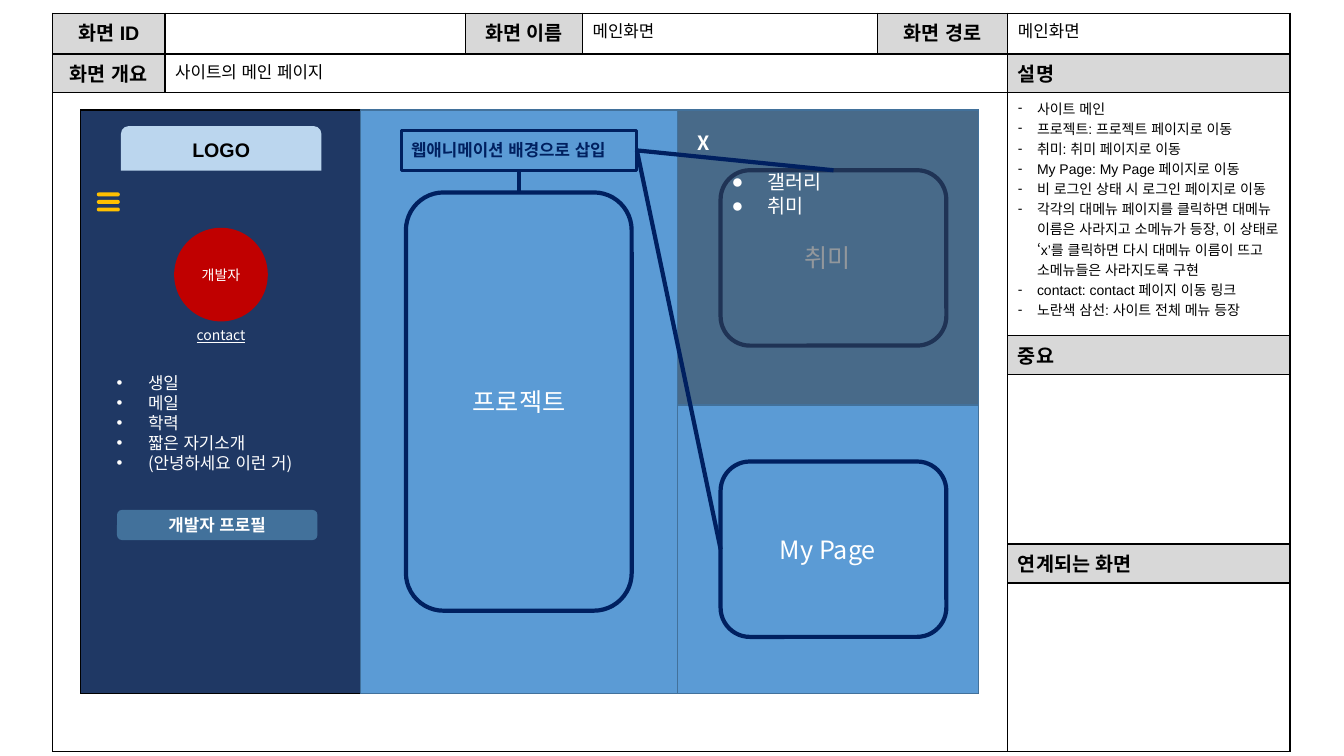
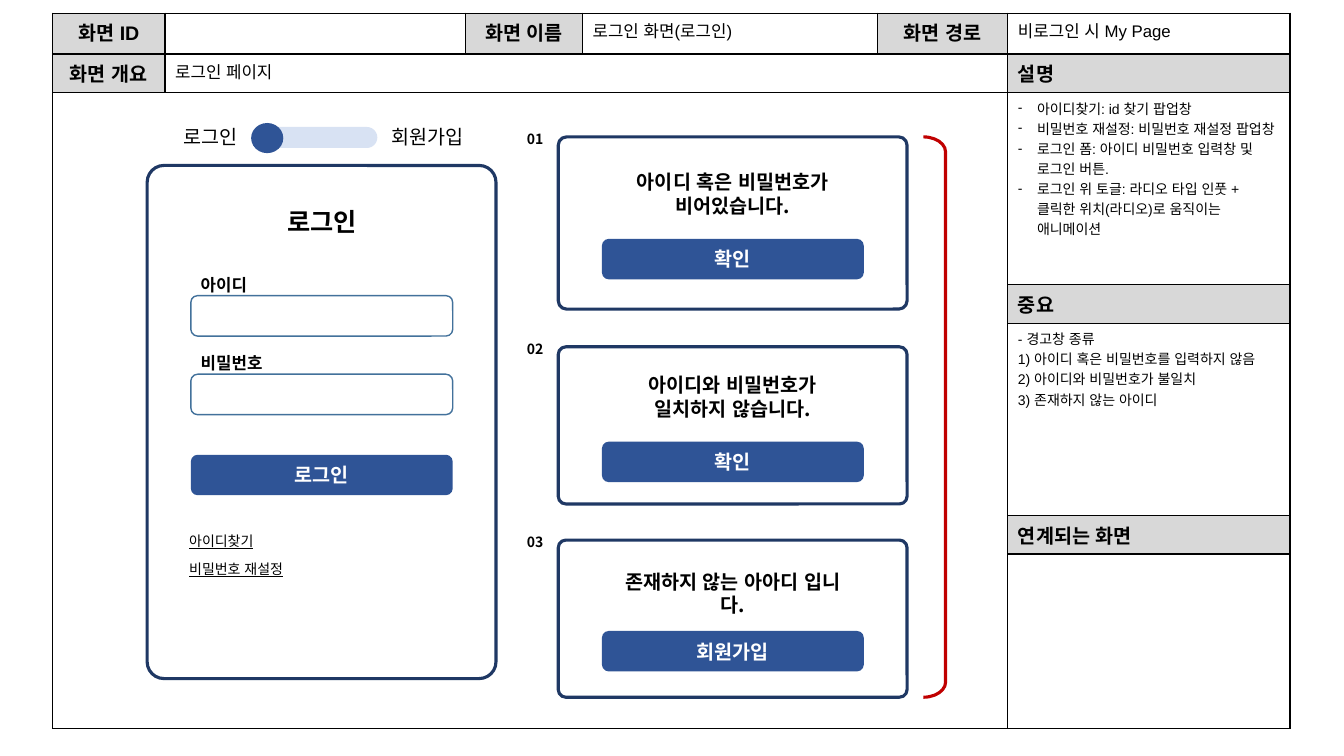
from lxml.etree import SubElement
from pptx import Presentation
from pptx.dml.color import RGBColor
from pptx.enum.lang import MSO_LANGUAGE_ID
from pptx.enum.shapes import MSO_CONNECTOR, MSO_SHAPE
from pptx.enum.text import MSO_ANCHOR, MSO_AUTO_SIZE, PP_ALIGN
from pptx.oxml.ns import qn
from pptx.util import Cm, Pt

ARIAL, NOTO = "Arial", "Noto Sans CJK KR"
BLACK, WHITE, GREY = "000000", "FFFFFF", "D8D8D8"
NAVY, INK, SKY, STEEL = "1F3864", "002060", "5B9BD5", "42719B"
BLUE, PALE, RED, YELLOW = "2F5496", "D8E2F3", "C00000", "FFC000"
LEFT, CENTER = PP_ALIGN.LEFT, PP_ALIGN.CENTER

TABLE_X, TABLE_Y, HEAD_H = 1.32, 0.33, 0.98
COLUMNS = [2.84, 7.57, 2.95, 7.44, 3.28, 7.11]


def rgb(value):
    """Turn a hex string into a colour."""
    return RGBColor.from_string(value)


def write(tf, text, size=12, color=BLACK, bold=False, underline=False, font=NOTO,
          align=LEFT, anchor=MSO_ANCHOR.TOP, inset=0.13, bullet=None, hang=0.48, indent=None):
    """Fill a frame with one paragraph, or one for each item of a list."""
    tf.word_wrap = True
    tf.vertical_anchor = anchor
    tf.margin_left = tf.margin_right = Cm(0.25)
    tf.margin_top = tf.margin_bottom = Cm(inset)
    items = [text] if isinstance(text, str) else text
    for i, item in enumerate(items):
        p = tf.add_paragraph() if i else tf.paragraphs[0]
        p.alignment = align
        p.space_before = Pt(0)
        if bullet:
            add_bullet(p, bullet, hang, indent or hang)
        for j, line in enumerate(item.split("\n")):
            if j:
                p.add_line_break()
            r = p.add_run()
            r.text = line
            f = r.font
            f.size, f.bold, f.underline, f.name = Pt(size), bold, underline, font
            f.language_id = MSO_LANGUAGE_ID.KOREAN
            f.color.rgb = rgb(color)
            SubElement(r.font._element, qn("a:ea"), typeface=NOTO)


def add_bullet(p, char, hang, indent):
    """Give a paragraph a bullet and a hanging indent."""
    pPr = p._p.get_or_add_pPr()
    pPr.set("marL", str(Cm(indent)))
    pPr.set("indent", str(-Cm(hang)))
    SubElement(pPr, qn("a:buFont"), typeface=ARIAL)
    SubElement(pPr, qn("a:buChar"), char=char)


def shape(s, kind, box, fill=None, line=None, width=1, adj=(), alpha=None, text=None, **fmt):
    """Add a preset shape with its fill, outline and optional text."""
    sp = s.shapes.add_shape(kind, *map(Cm, box))
    sp.shadow.inherit = False
    for i, value in enumerate(adj):
        sp.adjustments[i] = value
    if fill:
        sp.fill.solid()
        sp.fill.fore_color.rgb = rgb(fill)
        if alpha:
            clr = sp.element.spPr.find(qn("a:solidFill"))[0]
            SubElement(clr, qn("a:alpha"), val=str(alpha * 1000))
    else:
        sp.fill.background()
    if line:
        sp.line.color.rgb = rgb(line)
        sp.line.width = Pt(width)
    else:
        sp.line.fill.background()
    if text:
        write(sp.text_frame, text, **{"align": CENTER, "anchor": MSO_ANCHOR.MIDDLE,
                                      "color": WHITE, **fmt})
    return sp


def label(s, box, text, **fmt):
    """Add a text box."""
    write(s.shapes.add_textbox(*map(Cm, box)).text_frame, text, **fmt)


def place(ph, box, text, **fmt):
    """Move a placeholder to the front of the slide so far and fill it."""
    ph.left, ph.top, ph.width, ph.height = map(Cm, box)
    ph.element.getparent().append(ph.element)
    ph.text_frame.auto_size = MSO_AUTO_SIZE.NONE
    write(ph.text_frame, text, **fmt)


def connect(s, start, end):
    """Draw a callout line between two points."""
    c = s.shapes.add_connector(MSO_CONNECTOR.STRAIGHT, *map(Cm, start + end))
    c.line.color.rgb = rgb(INK)
    c.line.width = Pt(3)
    SubElement(c.element.spPr, qn("a:effectLst"))


def style_cell(cell, fill):
    """Give a cell black borders and its own fill."""
    tcPr = cell._tc.get_or_add_tcPr()
    for side in ("lnL", "lnR", "lnT", "lnB"):
        ln = SubElement(tcPr, qn("a:" + side), w=str(Pt(1)))
        SubElement(SubElement(ln, qn("a:solidFill")), qn("a:srgbClr"), val=BLACK)
    if fill:
        cell.fill.solid()
        cell.fill.fore_color.rgb = rgb(fill)
    else:
        cell.fill.background()


def sheet(s, body_rows, name, route, summary, notes, important=None):
    """Draw the form table that frames each screen."""
    about, vital, linked = body_rows
    rows = [HEAD_H, HEAD_H, about, HEAD_H, vital, HEAD_H, linked]
    table = s.shapes.add_table(len(rows), len(COLUMNS), Cm(TABLE_X), Cm(TABLE_Y),
                               Cm(sum(COLUMNS)), Cm(sum(rows))).table
    for row, h in zip(table.rows, rows):
        row.height = Cm(h)
    for col, w in zip(table.columns, COLUMNS):
        col.width = Cm(w)
    heads = {(0, 0): "화면 ID", (0, 2): "화면 이름", (0, 4): "화면 경로", (1, 0): "화면 개요",
             (1, 5): "설명", (3, 5): "중요", (5, 5): "연계되는 화면"}
    values = {(0, 3): name, (0, 5): route, (1, 1): summary}
    for i in range(len(rows)):
        for j in range(len(COLUMNS)):
            style_cell(table.cell(i, j), GREY if (i, j) in heads else None)
    table.cell(1, 1).merge(table.cell(1, 4))
    table.cell(2, 0).merge(table.cell(6, 4))
    for (i, j), text in heads.items():
        write(table.cell(i, j).text_frame, text, size=14, bold=True, font=ARIAL,
              align=LEFT if j == 5 else CENTER)
    for (i, j), text in values.items():
        write(table.cell(i, j).text_frame, text, font=ARIAL)
    write(table.cell(2, 5).text_frame, notes, size=10, font=ARIAL, bullet="-")
    if important:
        write(table.cell(4, 5).text_frame, important, size=10, font=ARIAL)


def sidebar(s, box, body):
    """Draw the dark profile column with logo tab, menu icon and list."""
    x, y, w, h = box
    shape(s, MSO_SHAPE.RECTANGLE, box, NAVY, BLACK)
    place(body, (x + 0.66, y + 6.48, 5.56, 2.82),
          ["생일", "메일", "학력", "짧은 자기소개", "(안녕하세요 이런 거)"],
          color=WHITE, bullet="•", hang=0.79)
    shape(s, MSO_SHAPE.OVAL, (x + 2.36, y + 2.97, 2.36, 2.36), RED, text="개발자", size=10)
    label(s, (x + 2.36, y + 5.33, 2.36, 0.69), "contact", size=10, color=WHITE,
          underline=True, align=CENTER)
    shape(s, MSO_SHAPE.ROUNDED_RECTANGLE, (x + 0.92, y + 10.08, 5.05, 0.76), STEEL,
          text="개발자 프로필", bold=True)
    shape(s, MSO_SHAPE.ROUND_2_SAME_RECTANGLE, (x + 1.02, y + 0.41, 5.05, 1.12), "BBD6EE",
          adj=(0.167, 0), text="LOGO", size=14, bold=True, font=ARIAL, color=BLACK)
    for i in range(3):
        shape(s, MSO_SHAPE.ROUNDED_RECTANGLE, (x + 0.41, y + 2.08 + 0.19 * i, 0.58, 0.1),
              YELLOW, adj=(0.5,))


def panel(s, box, card, text):
    """Draw a light panel with its name and a rounded outline; return the outline's box."""
    x, y, w, h = box
    dx, dy, cw, ch = card
    frame = (x + dx, y + dy, cw, ch)
    shape(s, MSO_SHAPE.RECTANGLE, box, SKY, STEEL, text=text, size=18)
    shape(s, MSO_SHAPE.ROUNDED_RECTANGLE, frame, line=INK, width=3, adj=(0.167,))
    return frame


def opened_menu(s, box, body):
    """Dim a panel and show its submenu with a close mark."""
    x, y, w, h = box
    shape(s, MSO_SHAPE.RECTANGLE, box, "3A434C", STEEL, alpha=55)
    place(body, (x + 0.74, y + 1.27, 6.1, 1.7), ["갤러리", "취미"], size=14, color=WHITE,
          inset=0.25, bullet="●", hang=0.89, indent=1.27)
    label(s, (x + 0.25, y + 0.28, 1.04, 1.12), "X", size=14, color=WHITE, bold=True, inset=0.25)


def main_screen(s, box):
    """Draw the main page: sidebar, three panels and the animation callout."""
    x, y, w, h = box
    side_w, mid_w, top_h = 7.06, 7.98, 7.44
    mid_x = x + side_w
    right_x, right_w = mid_x + mid_w, w - side_w - mid_w
    s.placeholders[0].element.getparent().remove(s.placeholders[0].element)
    shape(s, MSO_SHAPE.RECTANGLE, box, line=BLACK)
    sidebar(s, (x, y, side_w, h), s.placeholders[1])
    project = panel(s, (mid_x, y, mid_w, h), (1.14, 2.08, 5.69, 10.54), "프로젝트")
    my_page = panel(s, (right_x, y + top_h, right_w, h - top_h), (1.09, 1.42, 5.69, 4.42),
                    "My Page")
    hobby_box = (right_x, y, right_w, top_h)
    hobby = panel(s, hobby_box, (1.09, 1.52, 5.69, 4.42), "취미")
    opened_menu(s, hobby_box, s.placeholders[2])

    nx, ny, nw, nh = mid_x + 1.02, y + 0.51, 5.94, 1.02
    shape(s, MSO_SHAPE.RECTANGLE, (nx, ny, nw, nh), line=INK, width=2.25,
          text="웹애니메이션 배경으로 삽입", bold=True, color=INK, align=LEFT,
          anchor=MSO_ANCHOR.TOP, inset=0.25)
    connect(s, (nx + nw / 2, project[1]), (nx + nw / 2, ny + nh))
    note_end = (nx + nw, ny + nh / 2)
    connect(s, (hobby[0] + hobby[2] / 2, hobby[1]), note_end)
    connect(s, (my_page[0], my_page[1] + my_page[3] / 2), note_end)


def card(s, box):
    """Draw the navy outline of a form or dialog."""
    shape(s, MSO_SHAPE.ROUNDED_RECTANGLE, box, line=NAVY, width=2.25, adj=(0.048,))


def button(s, x, y, text):
    """Draw a filled button."""
    shape(s, MSO_SHAPE.ROUNDED_RECTANGLE, (x, y, 6.6, 1.02), BLUE, text=text, size=14, bold=True)


def toggle(s, box):
    """Draw the login / sign-up switch."""
    x, y, w, h = box
    shape(s, MSO_SHAPE.ROUNDED_RECTANGLE, (x + 2.16, y + 0.18, 3.18, 0.53), PALE, adj=(0.5,))
    shape(s, MSO_SHAPE.OVAL, (x + 2.16, y + 0.08, 0.81, 0.76), BLUE)
    label(s, (x, y, 2.26, h), "로그인", size=14, align=CENTER)
    label(s, (x + w - 2.57, y, 2.57, h), "회원가입", size=14, align=CENTER)


def login_form(s, box):
    """Draw the login card with fields, button and links."""
    x, y, w, h = box
    left = x + 1.1
    card(s, box)
    place(s.shapes.title, (left, y + 0.91, 6.6, 1.02), "로그인", size=18, bold=True, align=CENTER)
    for i, text in enumerate(["아이디", "비밀번호"]):
        top = y + 3.28 + 1.98 * i
        shape(s, MSO_SHAPE.ROUNDED_RECTANGLE, (left, top, 6.6, 1.02), line=STEEL)
        label(s, (left, top - 0.66, 2.69, 0.76), text, bold=True)
    button(s, left, y + 7.29, "로그인")
    for i, text in enumerate(["아이디찾기", "비밀번호 재설정"]):
        label(s, (x + 0.81, y + 9.12 + 0.71 * i, 3.3, 0.69), text, size=10, underline=True)


def dialog(s, box, number, message, action, message_dy, action_dy):
    """Draw a numbered warning dialog."""
    x, y, w, h = box
    card(s, box)
    label(s, (x - 1.04, y - 0.37, 1.32, 0.94), number, size=10, bold=True, inset=0.25)
    label(s, (x + 1.1, y + message_dy, 6.6, 1.45), message, size=14, bold=True, align=CENTER)
    button(s, x + 1.1, y + action_dy, action)


def login_screen(s):
    """Draw the login page and its three warnings."""
    toggle(s, (4.17, 3.02, 7.9, 0.86))
    login_form(s, (3.71, 4.17, 8.79, 12.93))
    dialogs = [
        (3.45, 4.34, "아이디 혹은 비밀번호가\n비어있습니다.", "확인", 0.71, 2.57),
        (8.74, 3.96, "아이디와 비밀번호가\n일치하지 않습니다.", "확인", 0.53, 2.39),
        (13.61, 3.96, "존재하지 않는 아아디 입니\n다.", "회원가입", 0.61, 2.29),
    ]
    for i, (y, h, message, action, *offsets) in enumerate(dialogs, 1):
        dialog(s, (14.07, y, 8.79, h), f"{i:02}", message, action, *offsets)
    shape(s, MSO_SHAPE.RIGHT_BRACKET, (23.27, 3.45, 0.56, 14.12), line=RED, width=2.25,
          adj=(0.676,))


prs = Presentation()
prs.slide_width, prs.slide_height = Cm(33.87), Cm(19.05)

s = prs.slides.add_slide(prs.slide_layouts[3])
sheet(s, (6.12, 4.27, 4.24), "메인화면", "메인화면", "사이트의 메인 페이지", [
    "사이트 메인",
    "프로젝트: 프로젝트 페이지로 이동",
    "취미: 취미 페이지로 이동",
    "My Page: My Page 페이지로 이동",
    "비 로그인 상태 시 로그인 페이지로 이동",
    "각각의 대메뉴 페이지를 클릭하면 대메뉴 이름은 사라지고 소메뉴가 등장, 이 상태로 "
    "‘x’를 클릭하면 다시 대메뉴 이름이 뜨고 소메뉴들은 사라지도록 구현",
    "contact: contact 페이지 이동 링크",
    "노란색 삼선: 사이트 전체 메뉴 등장"])
main_screen(s, (2.03, 2.77, 22.63, 14.71))

s = prs.slides.add_slide(prs.slide_layouts[5])
sheet(s, (4.83, 4.83, 4.39), "로그인 화면(로그인)", "비로그인 시 My Page", "로그인 페이지", [
    "아이디찾기: id 찾기 팝업창",
    "비밀번호 재설정: 비밀번호 재설정 팝업창",
    "로그인 폼: 아이디 비밀번호 입력창 및 로그인 버튼.",
    "로그인 위 토글: 라디오 타입 인풋 + 클릭한 위치(라디오)로 움직이는 애니메이션"],
    ["- 경고창 종류", "1) 아이디 혹은 비밀번호를 입력하지 않음",
     "2) 아이디와 비밀번호가 불일치", "3) 존재하지 않는 아이디"])
login_screen(s)

prs.save("out.pptx")
